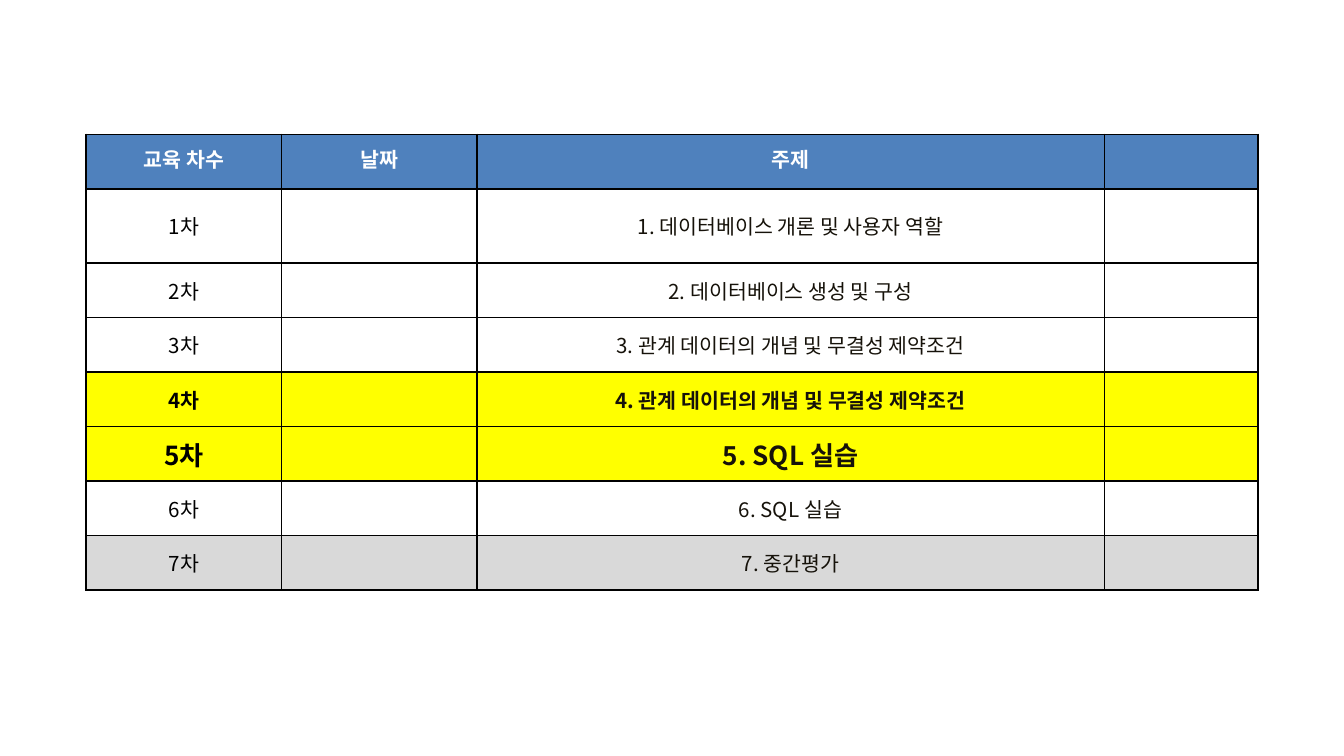
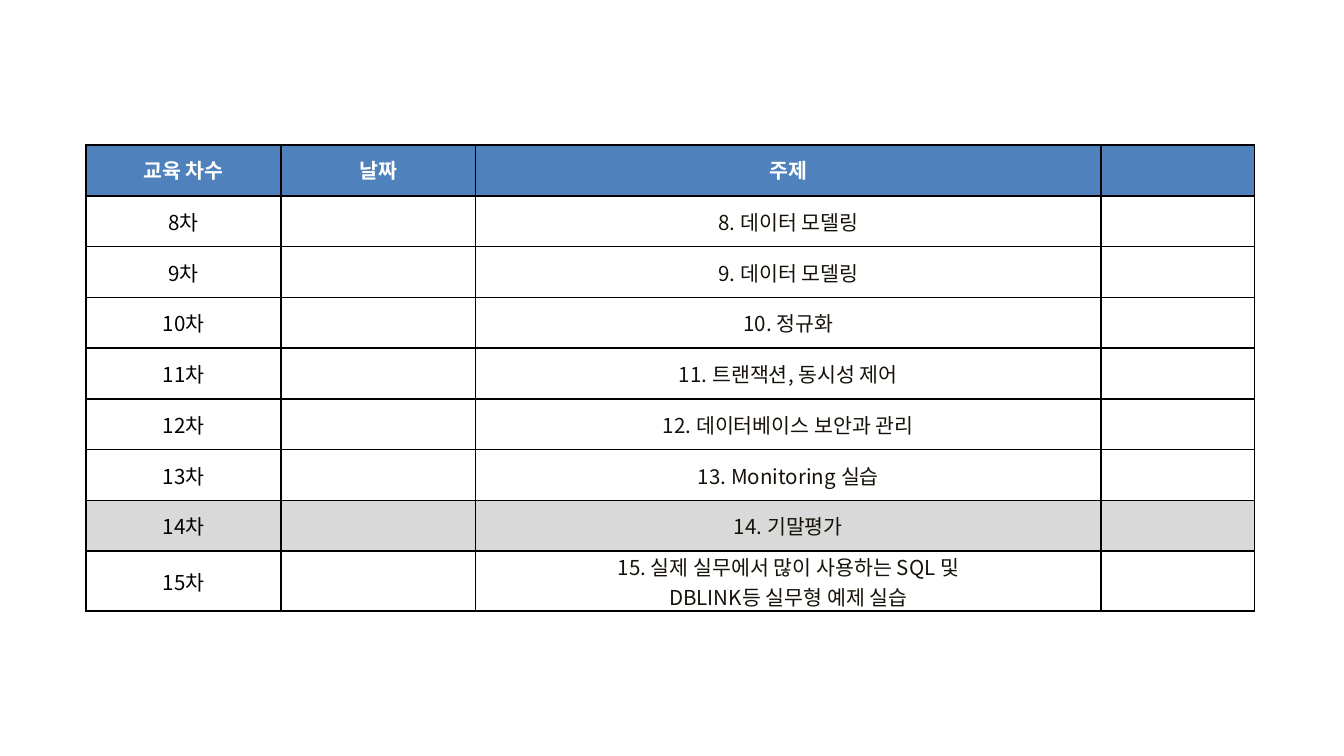
from lxml import etree
from pptx import Presentation
from pptx.dml.color import RGBColor
from pptx.enum.text import MSO_ANCHOR, PP_ALIGN
from pptx.oxml.ns import qn
from pptx.util import Cm, Pt

CENTER = PP_ALIGN.CENTER
TOP, MIDDLE = MSO_ANCHOR.TOP, MSO_ANCHOR.MIDDLE
FONT = "Noto Sans CJK KR"
BLUE, YELLOW, GRAY = "4F81BD", "FFFF00", "D9D9D9"
WHITE, BLACK, INK = "FFFFFF", "000000", "16120A"
LEFT = 1.63
HEADERS = ["교육 차수", "날짜", "주제", ""]

FIRST_TOPICS = [
    "데이터베이스 개론 및 사용자 역할",
    "데이터베이스 생성 및 구성",
    "관계 데이터의 개념 및 무결성 제약조건",
    "관계 데이터의 개념 및 무결성 제약조건",
    "SQL 실습",
    "SQL 실습",
    "중간평가",
]
SECOND_TOPICS = [
    "데이터 모델링",
    "데이터 모델링",
    "정규화",
    "트랜잭션, 동시성 제어",
    "데이터베이스 보안과 관리",
    "Monitoring 실습",
    "기말평가",
    "실제 실무에서 많이 사용하는 SQL 및\nDBLINK등 실무형 예제 실습",
]
ROW_STYLES = {
    4: {"fill": YELLOW, "bold": True},
    5: {"fill": YELLOW, "bold": True, "size": 14},
    7: {"fill": GRAY},
    14: {"fill": GRAY},
}


def rgb(value):
    """Turn a hex string into a colour."""
    return RGBColor.from_string(value)


def write_text(tf, text, size=11, color=BLACK, bold=False):
    """Write centred text in one format."""
    p = tf.paragraphs[0]
    p.text = text
    p.alignment = CENTER
    for r in p.runs:
        r.font.name = FONT
        r.font.size = Pt(size)
        r.font.bold = bold
        r.font.color.rgb = rgb(color)
        etree.SubElement(r.font._element, qn("a:ea"), typeface=FONT)
    if not text:
        p._p.get_or_add_endParaRPr().set("sz", str(size * 100))


def set_borders(cell, color=BLACK, width=1):
    """Draw a solid line on all four sides of a cell."""
    tcPr = cell._tc.get_or_add_tcPr()
    for side in ("lnL", "lnR", "lnT", "lnB"):
        ln = etree.SubElement(tcPr, qn(f"a:{side}"), w=str(Pt(width)))
        fill = etree.SubElement(ln, qn("a:solidFill"))
        etree.SubElement(fill, qn("a:srgbClr"), val=color)


def format_cell(cell, text, fill=None, margins=(0, 0), anchor=MIDDLE, **text_format):
    """Set the borders, fill, margins and text of a cell."""
    set_borders(cell)
    if fill:
        cell.fill.solid()
        cell.fill.fore_color.rgb = rgb(fill)
    else:
        cell.fill.background()
    side, edge = margins
    cell.margin_left = cell.margin_right = Cm(side)
    cell.margin_top = cell.margin_bottom = Cm(edge)
    cell.vertical_anchor = anchor
    write_text(cell.text_frame, text, **text_format)


def add_schedule(prs, topics, first, top, widths, heights):
    """Add a slide with a table of numbered sessions."""
    s = prs.slides.add_slide(prs.slide_layouts[6])
    table = s.shapes.add_table(len(heights), len(widths), Cm(LEFT), Cm(top),
                               Cm(sum(widths)), Cm(sum(heights))).table
    table.horz_banding = False
    for column, width in zip(table.columns, widths):
        column.width = Cm(width)
    for row, height in zip(table.rows, heights):
        row.height = Cm(height)
    for col, header in enumerate(HEADERS):
        format_cell(table.cell(0, col), header, fill=BLUE, margins=(0.33, 0.18),
                    anchor=TOP, color=WHITE, bold=True)
    for row, topic in enumerate(topics, 1):
        number = first + row - 1
        values = [f"{number}차", "", f"{number}. {topic}", ""]
        for col, value in enumerate(values):
            format_cell(table.cell(row, col), value, color=INK if col == 2 else BLACK,
                        **ROW_STYLES.get(number, {}))


def main():
    """Build the two schedule slides."""
    prs = Presentation()
    prs.slide_width, prs.slide_height = Cm(25.4), Cm(14.29)
    add_schedule(prs, FIRST_TOPICS, 1, 2.54, [3.69, 3.69, 11.86, 2.91],
                 [1.03, 1.4] + [1.03] * 6)
    add_schedule(prs, SECOND_TOPICS, 8, 2.74, [3.68, 3.68, 11.82, 2.9],
                 [0.96] * 8 + [1.12])
    prs.save("out.pptx")


if __name__ == "__main__":
    main()
